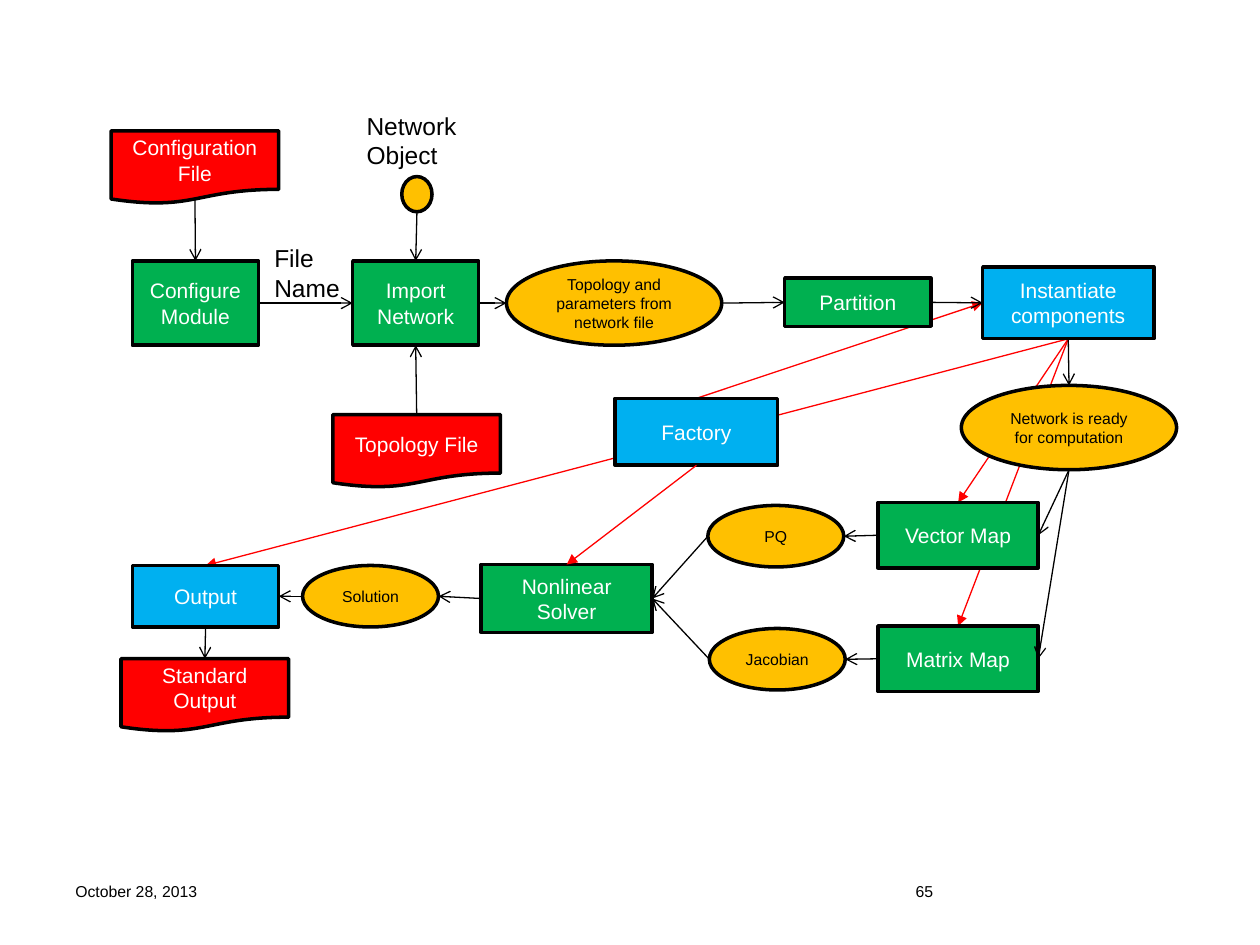
"""Build a slide with the flow chart of a power-network simulation."""
from dataclasses import dataclass

from lxml import etree
from pptx import Presentation
from pptx.dml.color import RGBColor
from pptx.enum.shapes import MSO_CONNECTOR, MSO_SHAPE
from pptx.enum.text import MSO_ANCHOR, PP_ALIGN
from pptx.oxml.ns import qn
from pptx.util import Cm, Pt

RECT = MSO_SHAPE.RECTANGLE
PROCESS = MSO_SHAPE.FLOWCHART_PROCESS
DOC = MSO_SHAPE.FLOWCHART_DOCUMENT
OVAL = MSO_SHAPE.OVAL
STRAIGHT = MSO_CONNECTOR.STRAIGHT
CENTER = PP_ALIGN.CENTER
MIDDLE = MSO_ANCHOR.MIDDLE

FONT = "Arial"
BLACK, WHITE, RED = "000000", "FFFFFF", "FF0000"
GREEN, BLUE, AMBER = "00B050", "00B0F0", "FFC000"

TOP, LEFT, BOTTOM, RIGHT = range(4)
SIDES = {TOP: (0.5, 0), LEFT: (0, 0.5), BOTTOM: (0.5, 1), RIGHT: (1, 0.5)}
DOC_BOTTOM = 0.93


@dataclass
class Node:
    """A filled step of the flow, with lengths in centimetres."""
    key: str
    text: str
    kind: int
    fill: str
    x: float
    y: float
    w: float
    h: float


@dataclass
class Label:
    """A plain piece of text, with lengths in centimetres."""
    text: str
    x: float
    y: float
    w: float
    h: float
    size: int
    wrap: bool = True


@dataclass
class Link:
    """An arrow from a side of one node to a side of another."""
    start: str
    start_side: int
    end: str
    end_side: int
    color: str = BLACK
    head: str = "arrow"
    behind: bool = False


def document(key: str, text: str, x: float, y: float) -> Node:
    """Describe a file."""
    return Node(key, text, DOC, RED, x, y, 3.38, 1.47)


def module(key: str, text: str, x: float) -> Node:
    """Describe a module of the first row."""
    return Node(key, text, PROCESS, GREEN, x, 5.26, 2.54, 1.7)


def mapper(key: str, text: str, y: float) -> Node:
    """Describe a map step."""
    return Node(key, text, RECT, GREEN, 17.7, y, 3.23, 1.32)


def state(key: str, text: str, x: float, y: float) -> Node:
    """Describe a large data ellipse."""
    return Node(key, text, OVAL, AMBER, x, y, 4.34, 1.7)


def result(key: str, text: str, x: float, y: float) -> Node:
    """Describe a small data ellipse."""
    return Node(key, text, OVAL, AMBER, x, y, 2.74, 1.24)


def call(start: str, side: int, end: str, end_side: int, behind: bool = True) -> Link:
    """Describe a red factory link."""
    return Link(start, side, end, end_side, RED, "triangle", behind)


NODES = [
    document("config", "Configuration File", 2.24, 2.64),
    document("topology", "Topology File", 6.71, 8.36),
    module("configure", "Configure Module", 2.67),
    module("import", "Import Network", 7.11),
    Node("network", "", OVAL, AMBER, 8.1, 3.56, 0.61, 0.71),
    state("parameters", "Topology and parameters from network file", 10.21, 5.26),
    Node("instantiate", "Instantiate components", RECT, BLUE, 19.81, 5.38, 3.45, 1.45),
    state("ready", "Network is ready for computation", 19.38, 7.77),
    Node("partition", "Partition", RECT, GREEN, 15.82, 5.61, 2.95, 0.97),
    mapper("vector", "Vector Map", 10.13),
    mapper("matrix", "Matrix Map", 12.62),
    result("pq", "PQ", 14.27, 10.19),
    result("jacobian", "Jacobian", 14.3, 12.67),
    Node("solver", "Nonlinear Solver", RECT, GREEN, 9.7, 11.38, 3.45, 1.37),
    result("solution", "Solution", 6.1, 11.4),
    Node("factory", "Factory", RECT, BLUE, 12.4, 8.03, 3.28, 1.35),
    Node("output", "Output", RECT, BLUE, 2.67, 11.4, 2.95, 1.24),
    document("standard", "Standard Output", 2.44, 13.28),
]
LABELS = [
    Label("October 28, 2013", 1.27, 17.65, 5.92, 1.02, 9),
    Label("65", 18.21, 17.65, 5.92, 1.02, 9),
    Label("File\nName", 5.28, 4.78, 1.88, 1.45, 14, wrap=False),
    Label("Network Object", 7.14, 2.11, 2.62, 1.45, 14),
]
LINKS = [
    call("instantiate", BOTTOM, "output", TOP),
    call("factory", TOP, "instantiate", LEFT),
    call("instantiate", BOTTOM, "vector", TOP),
    call("instantiate", BOTTOM, "matrix", TOP),
    call("factory", BOTTOM, "solver", TOP, behind=False),
    Link("config", BOTTOM, "configure", TOP),
    Link("configure", RIGHT, "import", LEFT),
    Link("topology", TOP, "import", BOTTOM),
    Link("network", BOTTOM, "import", TOP),
    Link("import", RIGHT, "parameters", LEFT),
    Link("parameters", RIGHT, "partition", LEFT),
    Link("partition", RIGHT, "instantiate", LEFT),
    Link("instantiate", BOTTOM, "ready", TOP),
    Link("ready", BOTTOM, "vector", RIGHT),
    Link("ready", BOTTOM, "matrix", RIGHT),
    Link("vector", LEFT, "pq", RIGHT),
    Link("matrix", LEFT, "jacobian", RIGHT),
    Link("pq", LEFT, "solver", RIGHT),
    Link("jacobian", LEFT, "solver", RIGHT),
    Link("solver", LEFT, "solution", RIGHT),
    Link("solution", LEFT, "output", RIGHT),
    Link("output", BOTTOM, "standard", TOP),
]


def rgb(color: str) -> RGBColor:
    """Turn a hex string into a colour."""
    return RGBColor.from_string(color)


def write(tf, text: str, size: int, color: str, align=None) -> None:
    """Fill a text frame with text in one style."""
    tf.text = text
    for p in tf.paragraphs:
        p.alignment = align
        p.font.name, p.font.size = FONT, Pt(size)
        p.font.color.rgb = rgb(color)


def add_node(s, node: Node):
    """Draw a node and return its shape."""
    sp = s.shapes.add_shape(node.kind, Cm(node.x), Cm(node.y), Cm(node.w), Cm(node.h))
    sp.shadow.inherit = False
    sp.fill.solid()
    sp.fill.fore_color.rgb = rgb(node.fill)
    sp.line.color.rgb, sp.line.width = rgb(BLACK), Pt(2)
    if node.text:
        sp.text_frame.vertical_anchor = MIDDLE
        size, color = (9, BLACK) if node.kind == OVAL else (12, WHITE)
        write(sp.text_frame, node.text, size, color, CENTER)
    return sp


def add_label(s, label: Label) -> None:
    """Draw a text label."""
    sp = s.shapes.add_textbox(Cm(label.x), Cm(label.y), Cm(label.w), Cm(label.h))
    sp.text_frame.word_wrap = label.wrap
    write(sp.text_frame, label.text, label.size, BLACK)


def side_point(sp, side: int) -> tuple[int, int]:
    """Return the middle of a side of a shape."""
    fx, fy = SIDES[side]
    if sp.auto_shape_type == DOC and side == BOTTOM:
        fy = DOC_BOTTOM
    return int(sp.left + fx * sp.width), int(sp.top + fy * sp.height)


def add_link(s, shapes: dict, link: Link) -> None:
    """Draw an arrow, joined to the rectangles it touches."""
    start, end = shapes[link.start], shapes[link.end]
    cxn = s.shapes.add_connector(
        STRAIGHT, *side_point(start, link.start_side), *side_point(end, link.end_side))
    if start.auto_shape_type in (RECT, PROCESS):
        cxn.begin_connect(start, link.start_side)
    if end.auto_shape_type in (RECT, PROCESS):
        cxn.end_connect(end, link.end_side)
    cxn.line.color.rgb, cxn.line.width = rgb(link.color), Pt(0.75)
    etree.SubElement(cxn.line._get_or_add_ln(), qn("a:tailEnd"), type=link.head)
    etree.SubElement(cxn.element.spPr, qn("a:effectLst"))
    if link.behind:
        cxn.element.getparent().insert(2, cxn.element)


def main() -> None:
    """Build and save the slide."""
    prs = Presentation()
    prs.slide_width, prs.slide_height = Cm(25.4), Cm(19.05)
    s = prs.slides.add_slide(prs.slide_layouts[6])
    shapes = {node.key: add_node(s, node) for node in NODES}
    for label in LABELS:
        add_label(s, label)
    for link in LINKS:
        add_link(s, shapes, link)
    prs.save("out.pptx")


if __name__ == "__main__":
    main()
